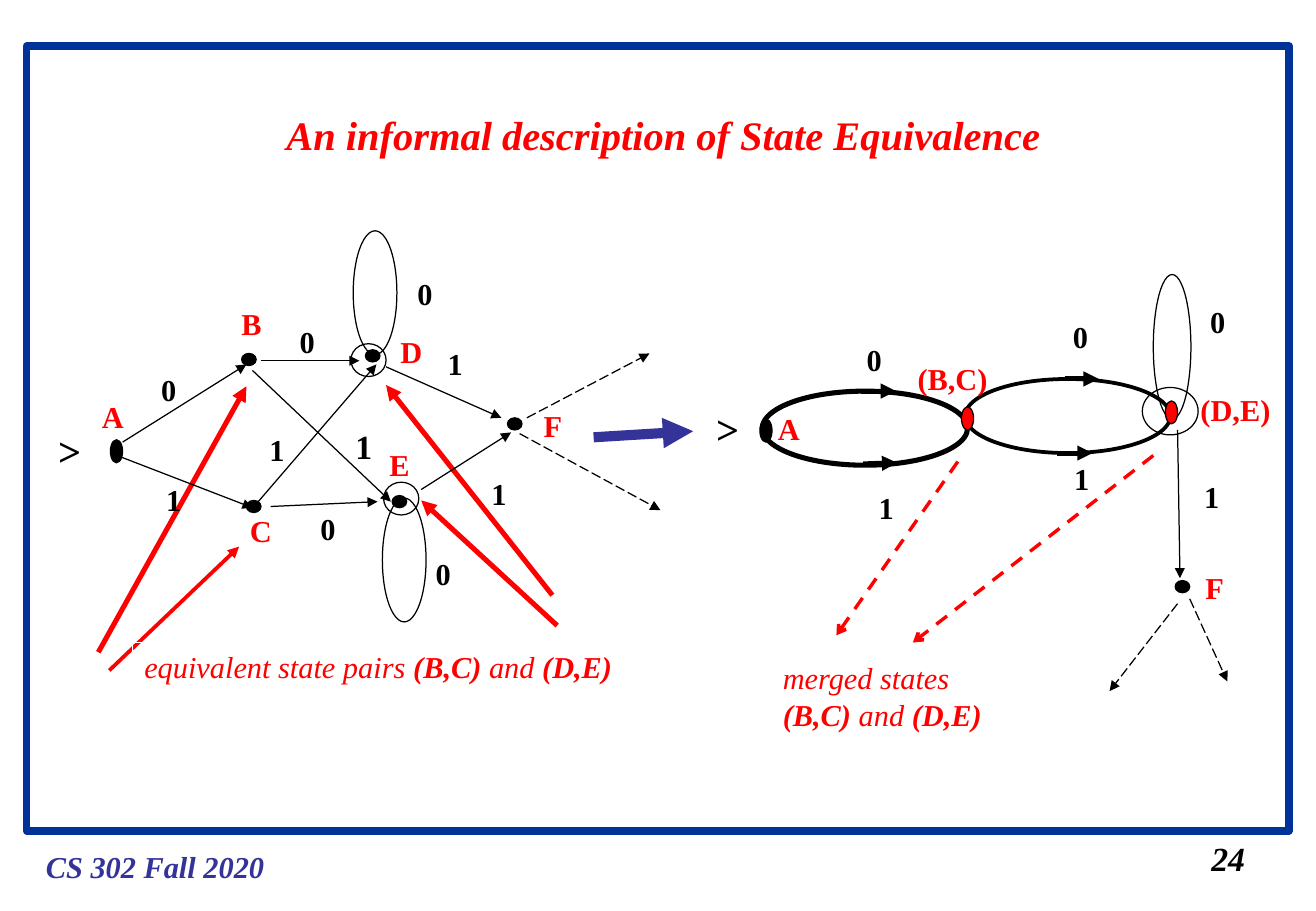
import pptx
import pptx.util
import pptx.dml.color
import pptx.enum.dml
import pptx.enum.shapes
import pptx.enum.text
import pptx.oxml.ns
import lxml.etree

COLORS = {"black": "000000", "red": "FF0000", "blue": "003399", "indigo": "333399", "white": "FFFFFF"}
FONT = "Times New Roman"
DASH = pptx.enum.dml.MSO_LINE.DASH
LONG_DASH = pptx.enum.dml.MSO_LINE.LONG_DASH

FRAME = (0.22, 0.38, 10.4, 6.46)
FOOTER = ("CS 302 Fall 2020", 0.28, 6.93, 2)
TITLE = ("An informal description of State Equivalence", 2.26, 0.66, 6.41)
PAGE_NUMBER = ("24", 9.88, 6.85, 0.48)
PAIRS = [[("equivalent state pairs ", False), ("(B,C)", True), (" and ", False), ("(D,E)", True)]]
PAIRS_BOX = (1.09, 5.29, 4.11, 0.4)
MERGED = [[("merged states", False)], [("(B,C) ", True), ("and ", False), ("(D,E)", True)]]

POINTER_ARROWS = [
    ((0.81, 5.37), (2.03, 3.18), 3),
    ((0.9, 5.52), (1.97, 4.5), 2.25),
    ((4.55, 4.9), (3.18, 3.17), 3),
    ((4.59, 5.15), (3.47, 4.12), 3),
]
MERGE_ARROWS = [((7.89, 3.8), (6.89, 5.23)), ((9.5, 3.75), (7.52, 5.29))]
TRANSITIONS = [
    ((1.01, 3.64), (2.03, 3)), ((0.99, 3.76), (2.08, 4.18)),
    ((2.08, 3.05), (3.22, 4.13)), ((2.11, 4.15), (3.1, 3)),
    ((2.15, 2.97), (2.96, 2.97)), ((2.23, 4.17), (3.11, 4.13)),
    ((3.18, 3.02), (4.13, 3.44)), ((3.47, 4.03), (4.21, 3.56)),
    ((9.7, 3.54), (9.72, 4.76)),
]
ONWARD_ARROWS = [
    ((4.34, 3.44), (5.35, 2.91)), ((4.28, 3.57), (5.44, 4.2)),
    ((9.7, 4.97), (9.14, 5.69)), ((9.8, 4.93), (10.11, 5.61)),
]
ARC_ARROWS = [
    ((7.09, 3.22), (7.38, 3.22)), ((7.11, 3.82), (7.39, 3.81)),
    ((8.77, 3.12), (9.05, 3.12)), ((8.71, 3.73), (9, 3.73)),
]
MERGED_ARCS = [(6.28, 3.22, 3), (7.95, 3.12, 2.25)]
SELF_LOOPS = [(2.91, 1.9, 0.36, 1.02), (3.15, 4.1, 0.36, 1.02), (9.5, 2.26, 0.31, 1.19)]
ACCEPT_RINGS = [(3.16, 3.97, 0.29, 0.27), (2.89, 2.83, 0.29, 0.27), (9.41, 3.19, 0.46, 0.39)]
SMALL_NODES = [(1.99, 2.91), (2.03, 4.12), (3.01, 2.88), (4.18, 3.44), (3.23, 4.08), (9.68, 4.78)]
TALL_NODES = [(0.91, 3.62, "black"), (6.26, 3.45, "black"), (7.92, 3.35, "red"), (9.6, 3.3, "red")]
INPUT_LABELS = {
    "0": [(1.23, 3.01), (2.37, 2.61), (2.54, 4.15), (3.49, 4.52), (3.34, 2.22),
          (8.74, 2.57), (7.04, 2.76), (9.87, 2.45)],
    "1": [(1.27, 3.91), (2.12, 3.5), (3.59, 2.79), (3.95, 3.86),
          (7.14, 3.98), (8.75, 3.74), (9.82, 3.89)],
}
LARGE_INPUT = ("1", 2.83, 3.46, 0.34)
START_MARKS = [(0.38, 3.46), (5.8, 3.28)]
STATE_LABELS = [
    ("A", 0.74, 3.23, 0.46), ("B", 1.89, 2.46, 0.36), ("C", 1.96, 4.17, 0.43),
    ("D", 3.2, 2.69, 0.38), ("E", 3.11, 3.62, 0.36), ("F", 4.38, 3.3, 0.31),
    ("A", 6.31, 3.33, 0.38), ("(D,E)", 9.79, 3.17, 0.78), ("(B,C)", 7.46, 2.92, 0.78),
    ("F", 9.83, 4.64, 0.35),
]

Inches = pptx.util.Inches
presentation = pptx.Presentation()
presentation.slide_width = Inches(10.84)
presentation.slide_height = Inches(7.5)
slide = presentation.slides.add_slide(presentation.slide_layouts[6])


def rgb(name):
    return pptx.dml.color.RGBColor.from_string(COLORS[name])


def add_outline(kind, left, top, width, height, line="black", weight=0.75, fill=None):
    shape = slide.shapes.add_shape(kind, *map(Inches, (left, top, width, height)))
    shape.shadow.inherit = False
    if fill:
        shape.fill.solid()
        shape.fill.fore_color.rgb = rgb(fill)
    else:
        shape.fill.background()
    shape.line.color.rgb = rgb(line)
    shape.line.width = pptx.util.Pt(weight)
    return shape


def add_ellipse(*place, **style):
    return add_outline(pptx.enum.shapes.MSO_SHAPE.OVAL, *place, **style)


def add_arrow(start, end, color="black", weight=0.75, dash=None, head="triangle"):
    connector = slide.shapes.add_connector(
        pptx.enum.shapes.MSO_CONNECTOR.STRAIGHT, *map(Inches, start + end))
    connector.line.color.rgb = rgb(color)
    connector.line.width = pptx.util.Pt(weight)
    if dash:
        connector.line.dash_style = dash
    qn = pptx.oxml.ns.qn
    lxml.etree.SubElement(connector.line._get_or_add_ln(), qn("a:tailEnd"), type=head)
    lxml.etree.SubElement(connector._element.spPr, qn("a:effectLst"))


def add_text(text, left=0, top=0, width=0.33, height=0.4, shape=None, size=18,
             color="black", bold=True, italic=False, spacing=None):
    if shape is None:
        shape = slide.shapes.add_textbox(*map(Inches, (left, top, width, height)))
    frame = shape.text_frame
    frame.word_wrap = False
    frame.vertical_anchor = pptx.enum.text.MSO_ANCHOR.TOP
    paragraphs = [[(text, bold)]] if isinstance(text, str) else text
    for index, runs in enumerate(paragraphs):
        paragraph = frame.add_paragraph() if index else frame.paragraphs[0]
        paragraph.alignment = pptx.enum.text.PP_ALIGN.LEFT
        if spacing:
            paragraph.line_spacing = spacing
        for words, heavy in runs:
            run = paragraph.add_run()
            run.text = words
            run.font.name = FONT
            run.font.size = pptx.util.Pt(size)
            run.font.bold = heavy
            run.font.italic = italic
            run.font.color.rgb = rgb(color)


def main():
    """Draw the state diagram before and after merging equivalent states."""
    rectangle = pptx.enum.shapes.MSO_SHAPE.RECTANGLE
    add_outline(rectangle, *FRAME, line="blue", weight=4.5)
    add_text(*FOOTER, color="indigo", italic=True)
    add_text(*TITLE, height=0.7, size=24, color="red", italic=True, spacing=1.5)
    add_arrow((4.89, 3.6), (5.71, 3.55), color="indigo", weight=6, dash=LONG_DASH)

    for start, end, weight in POINTER_ARROWS:
        add_arrow(start, end, color="red", weight=weight)
    pairs_box = add_outline(rectangle, *PAIRS_BOX, line="white")
    add_text(PAIRS, shape=pairs_box, color="red", italic=True)

    for left, top, weight in MERGED_ARCS:
        add_ellipse(left, top, 1.69, 0.61, weight=weight)
    for place in SELF_LOOPS + ACCEPT_RINGS:
        add_ellipse(*place)
    for left, top in SMALL_NODES:
        add_ellipse(left, top, 0.12, 0.1, fill="black")
    for left, top, fill in TALL_NODES:
        add_ellipse(left, top, 0.1, 0.19, fill=fill)

    for start, end in TRANSITIONS:
        add_arrow(start, end)
    for start, end in ONWARD_ARROWS:
        add_arrow(start, end, dash=LONG_DASH)
    for start, end in ARC_ARROWS:
        add_arrow(start, end, weight=3)
    for start, end in MERGE_ARROWS:
        add_arrow(start, end, color="red", weight=2, dash=DASH, head="arrow")

    for symbol, places in INPUT_LABELS.items():
        for left, top in places:
            add_text(symbol, left, top)
    add_text(*LARGE_INPUT, height=0.44, size=20)
    for left, top in START_MARKS:
        add_text(">", left, top, width=0.39, height=0.5, size=24)
    for label in STATE_LABELS:
        add_text(*label, color="red")
    add_text(MERGED, 6.35, 5.38, 1.9, 0.7, color="red", italic=True)
    add_text(*PAGE_NUMBER, height=0.44, size=20, italic=True)
    presentation.save("out.pptx")


if __name__ == "__main__":
    main()
